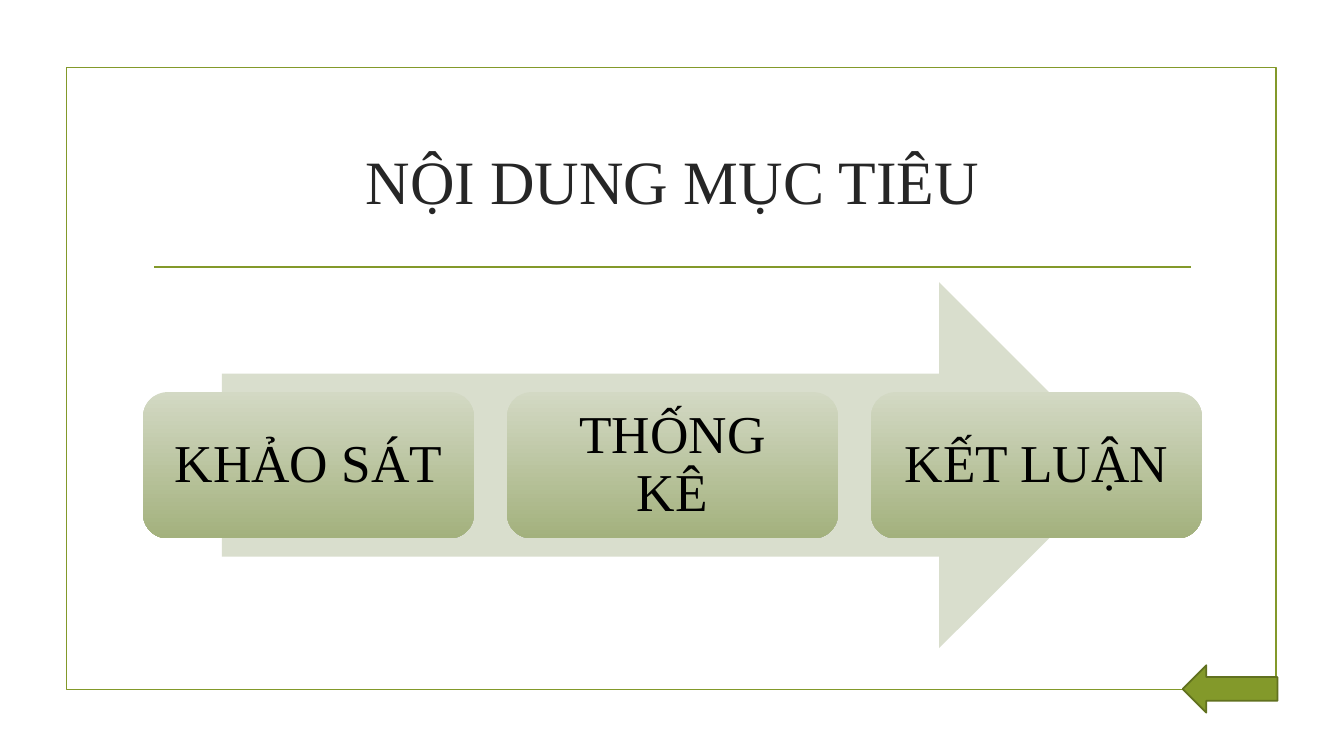
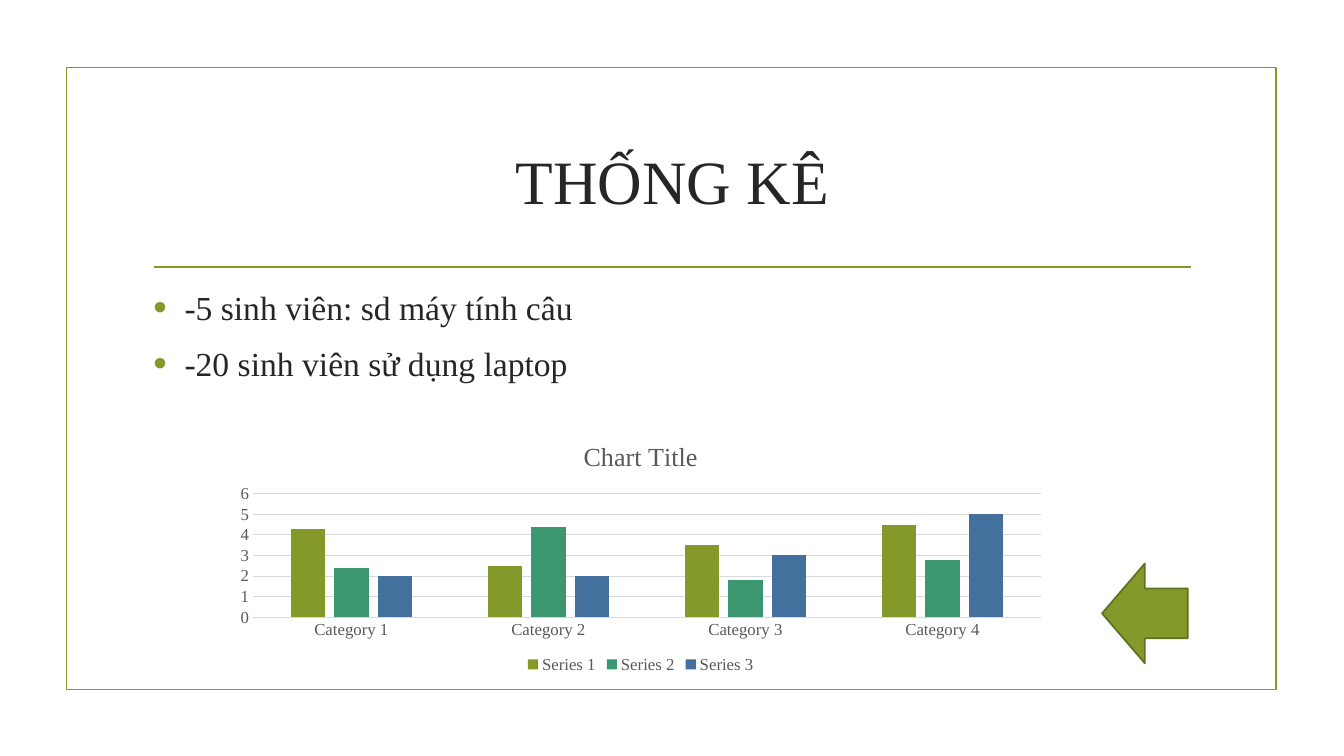
from dataclasses import dataclass

from lxml.etree import SubElement
from pptx import Presentation
from pptx.chart.data import CategoryChartData
from pptx.dml.color import RGBColor
from pptx.enum.chart import XL_CHART_TYPE as ChartType
from pptx.enum.chart import XL_LEGEND_POSITION as LegendPosition
from pptx.enum.chart import XL_TICK_MARK as TickMark
from pptx.enum.shapes import MSO_CONNECTOR as Connector
from pptx.enum.shapes import MSO_SHAPE as Preset
from pptx.enum.text import MSO_ANCHOR as Anchor
from pptx.enum.text import MSO_AUTO_SIZE as AutoSize
from pptx.enum.text import PP_ALIGN as Align
from pptx.oxml.ns import qn
from pptx.util import Emu, Pt

EMU_PER_PX = 9144


@dataclass(frozen=True)
class Theme:
    font: str = "Times New Roman"
    accent: str = "83992A"
    accent_dark: str = "61711F"
    ink: str = "262626"
    black: str = "000000"
    muted: str = "595959"
    grid: str = "D9D9D9"
    process_arrow: str = "D9DECD"
    step_top: str = "D3D9C4"
    step_bottom: str = "A3B17D"
    series: tuple[str, ...] = ("83992A", "3C9770", "44709D")
    title_size: float = 44
    step_size: float = 38
    body_size: float = 24
    chart_title_size: float = 18.6
    chart_size: float = 12
    line_width: float = 1.25
    thin_line: float = 0.75


@dataclass(frozen=True)
class Box:
    left: int
    top: int
    width: int
    height: int

    def emu(self) -> tuple[Emu, Emu, Emu, Emu]:
        return px(self.left), px(self.top), px(self.width), px(self.height)


@dataclass(frozen=True)
class Series:
    name: str
    values: tuple[float, ...]


THEME = Theme()
FRAME = Box(66, 67, 1200, 617)
RULE = Box(153, 265, 1028, 0)
TITLE = Box(142, 107, 1050, 143)
CONTENT = Box(142, 280, 1050, 363)
PROCESS_ARROW = Box(220, 280, 893, 363)
FIRST_STEP = Box(142, 389, 328, 145)
STEP_PITCH = 361
STEP_INSET = 23
CHART = Box(222, 422, 827, 250)
BULLET_INDENT = 31

STEPS = ("KHẢO SÁT", "THỐNG KÊ", "KẾT LUẬN ")
FINDINGS = ("-5 sinh viên: sd máy tính câu", "-20 sinh viên sử dụng laptop")
CATEGORIES = tuple(f"Category {number}" for number in range(1, 5))
SERIES = (
    Series("Series 1", (4.3, 2.5, 3.5, 4.5)),
    Series("Series 2", (2.4, 4.4, 1.8, 2.8)),
    Series("Series 3", (2, 2, 3, 5)),
)


def px(length: int) -> Emu:
    return Emu(length * EMU_PER_PX)


def rgb(color: str) -> RGBColor:
    return RGBColor.from_string(color)


def style_font(font, size: float, color: str) -> None:
    font.name = THEME.font
    font.size = Pt(size)
    font.bold = False
    font.color.rgb = rgb(color)


def style_line(line, color: str, width: float = THEME.line_width) -> None:
    line.color.rgb = rgb(color)
    line.width = Pt(width)


def place(shape, box: Box) -> None:
    shape.left, shape.top, shape.width, shape.height = box.emu()


def add_preset(slide, preset, box: Box, fill: str | None = None, line: str | None = None):
    shape = slide.shapes.add_shape(preset, *box.emu())
    shape.shadow.inherit = False
    if fill:
        shape.fill.solid()
        shape.fill.fore_color.rgb = rgb(fill)
    else:
        shape.fill.background()
    if line:
        style_line(shape.line, line)
    else:
        shape.line.fill.background()
    return shape


def add_slide(presentation, layout_name: str, title: str):
    slide = presentation.slides.add_slide(presentation.slide_layouts.get_by_name(layout_name))
    add_preset(slide, Preset.RECTANGLE, FRAME, line=THEME.accent)
    rule = slide.shapes.add_connector(
        Connector.STRAIGHT, px(RULE.left), px(RULE.top), px(RULE.left + RULE.width), px(RULE.top)
    )
    style_line(rule.line, THEME.accent)
    SubElement(rule._element.spPr, qn("a:effectLst"))
    heading = slide.shapes.title
    place(heading, TITLE)
    frame = heading.text_frame
    frame.text = title
    frame.auto_size = AutoSize.NONE
    frame.vertical_anchor = Anchor.MIDDLE
    frame.paragraphs[0].alignment = Align.CENTER
    style_font(frame.paragraphs[0].runs[0].font, THEME.title_size, THEME.ink)
    return slide


def add_back_arrow(slide, box: Box) -> None:
    add_preset(slide, Preset.LEFT_ARROW, box, THEME.accent, THEME.accent_dark)


def add_step(slide, index: int, label: str) -> None:
    box = Box(FIRST_STEP.left + index * STEP_PITCH, FIRST_STEP.top, FIRST_STEP.width, FIRST_STEP.height)
    step = add_preset(slide, Preset.ROUNDED_RECTANGLE, box)
    step.fill.gradient()
    step.fill.gradient_angle = 270
    for stop, color, position in zip(step.fill.gradient_stops, (THEME.step_top, THEME.step_bottom), (0, 1)):
        stop.color.rgb = rgb(color)
        stop.position = position
    frame = step.text_frame
    frame.word_wrap = True
    frame.vertical_anchor = Anchor.MIDDLE
    frame.margin_left = frame.margin_right = frame.margin_top = frame.margin_bottom = px(STEP_INSET)
    frame.text = label
    paragraph = frame.paragraphs[0]
    paragraph.alignment = Align.CENTER
    paragraph.line_spacing = 0.9
    style_font(paragraph.runs[0].font, THEME.step_size, THEME.black)


def format_bullet(paragraph) -> None:
    paragraph.space_before = Pt(5)
    paragraph.space_after = Pt(6)
    properties = paragraph._p.get_or_add_pPr()
    properties.set("marL", str(px(BULLET_INDENT)))
    properties.set("indent", str(-px(BULLET_INDENT)))
    SubElement(SubElement(properties, qn("a:buClr")), qn("a:srgbClr")).set("val", THEME.accent)
    SubElement(properties, qn("a:buSzPct")).set("val", "115000")
    SubElement(properties, qn("a:buFont")).set("typeface", "Arial")
    SubElement(properties, qn("a:buChar")).set("char", "•")


def fill_body(slide, lines: tuple[str, ...]) -> None:
    body = slide.placeholders[1]
    place(body, CONTENT)
    frame = body.text_frame
    frame.text = "\n".join(lines)
    frame.auto_size = AutoSize.NONE
    for paragraph in frame.paragraphs:
        format_bullet(paragraph)
        style_font(paragraph.runs[0].font, THEME.body_size, THEME.ink)


def add_column_chart(slide) -> None:
    data = CategoryChartData()
    data.categories = CATEGORIES
    for series in SERIES:
        data.add_series(series.name, series.values)
    chart = slide.shapes.add_chart(ChartType.COLUMN_CLUSTERED, *CHART.emu(), data).chart
    style_font(chart.font, THEME.chart_size, THEME.muted)

    chart.has_title = True
    title = chart.chart_title.text_frame
    title.text = "Chart Title"
    style_font(title.paragraphs[0].runs[0].font, THEME.chart_title_size, THEME.muted)

    chart.has_legend = True
    chart.legend.position = LegendPosition.BOTTOM
    chart.legend.include_in_layout = False
    style_font(chart.legend.font, THEME.chart_size, THEME.muted)

    for axis in (chart.category_axis, chart.value_axis):
        axis.major_tick_mark = axis.minor_tick_mark = TickMark.NONE
        style_font(axis.tick_labels.font, THEME.chart_size, THEME.muted)
    style_line(chart.category_axis.format.line, THEME.grid, THEME.thin_line)
    value_axis = chart.value_axis
    value_axis.minimum_scale, value_axis.maximum_scale, value_axis.major_unit = 0, 6, 1
    value_axis.format.line.fill.background()
    style_line(value_axis.major_gridlines.format.line, THEME.grid, THEME.thin_line)

    plot = chart.plots[0]
    plot.gap_width = 219
    plot.overlap = -27
    plot.vary_by_categories = False
    for series, color in zip(plot.series, THEME.series):
        series.format.fill.solid()
        series.format.fill.fore_color.rgb = rgb(color)


def build_goals(presentation) -> None:
    slide = add_slide(presentation, "Title Only", "NỘI DUNG MỤC TIÊU")
    add_preset(slide, Preset.RIGHT_ARROW, PROCESS_ARROW, THEME.process_arrow)
    for index, label in enumerate(STEPS):
        add_step(slide, index, label)
    add_back_arrow(slide, Box(1173, 660, 94, 47))


def build_statistics(presentation) -> None:
    slide = add_slide(presentation, "Title and Content", "THỐNG KÊ")
    fill_body(slide, FINDINGS)
    add_back_arrow(slide, Box(1093, 559, 85, 99))
    add_column_chart(slide)


def main() -> None:
    presentation = Presentation()
    presentation.slide_width, presentation.slide_height = px(1333), px(750)
    build_goals(presentation)
    build_statistics(presentation)
    presentation.save("out.pptx")


if __name__ == "__main__":
    main()
